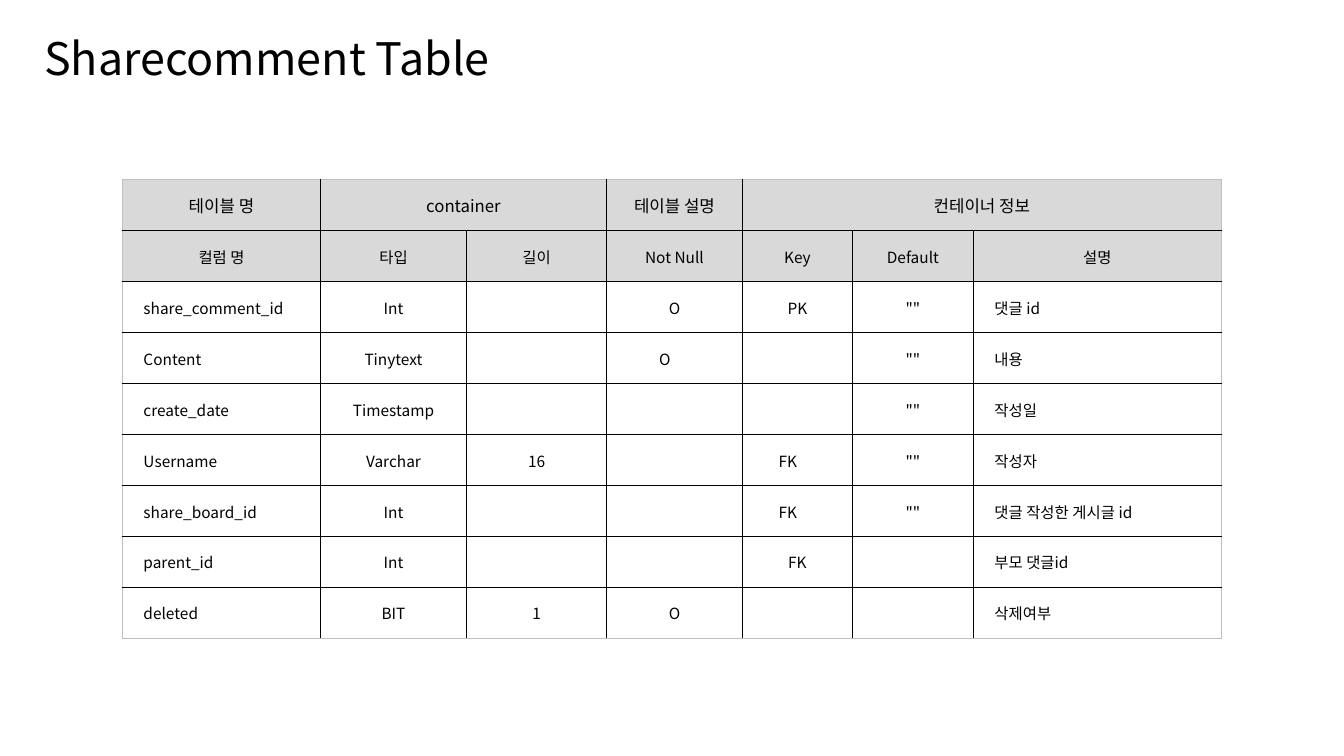
from lxml.etree import SubElement
from pptx import Presentation
from pptx.dml.color import RGBColor
from pptx.enum.text import MSO_ANCHOR, PP_ALIGN
from pptx.oxml.ns import qn
from pptx.util import Pt

HEADINGS = ["테이블 명", "container", "", "테이블 설명", "컨테이너 정보", "", ""]
COLUMN_NAMES = ["컬럼 명", "타입", "길이", "Not Null", "Key", "Default", "설명"]
FIELDS = [
    ["share_comment_id", "Int", "", "O", "PK", '""', "댓글 id"],
    ["Content", "Tinytext", "", "O", "", '""', "내용"],
    ["create_date", "Timestamp", "", "", "", '""', "작성일"],
    ["Username", "Varchar", "16", "", "FK", '""', "작성자"],
    ["share_board_id", "Int", "", "", "FK", '""', "댓글 작성한 게시글 id"],
    ["parent_id", "Int", "", "", "FK", "", "부모 댓글id"],
    ["deleted", "BIT", "1", "O", "", "", "삭제여부"],
]
COLUMN_WIDTHS = [141.5, 104.3, 100, 97.1, 78.6, 86.4, 177.1]
ROW_HEIGHT = 36.4
HEADING_SPANS = [(1, 2), (4, 6)]
LEFT_COLUMNS = {0, 6}
NUDGED_LEFT = {(3, 3), (5, 4), (6, 4)}


def color(value):
    return RGBColor.from_string(value)


class SlideBuilder:
    font = "Noto Sans CJK KR"
    ink = "000000"
    outer_edge = "BFBFBF"
    header_fill = "D9D9D9"

    def __init__(self, deck):
        self.page = deck.slides.add_slide(deck.slide_layouts[6])

    def add_text(self, para, text, size):
        span = para.add_run()
        span.text = text
        for name, value in {"size": Pt(size), "name": self.font}.items():
            setattr(span.font, name, value)
        span.font.color.rgb = color(self.ink)
        SubElement(span.font._element, qn("a:ea"), typeface=self.font)

    def title(self, text, left, top, width, height):
        box = self.page.shapes.add_textbox(Pt(left), Pt(top), Pt(width), Pt(height))
        frame = box.text_frame
        for name, value in {"word_wrap": True, "vertical_anchor": MSO_ANCHOR.MIDDLE}.items():
            setattr(frame, name, value)
        para = frame.paragraphs[0]
        para.line_spacing = 0.9
        self.add_text(para, text, 32)

    def borders(self, cell, outer_sides):
        properties = cell._tc.get_or_add_tcPr()
        for side in "LRTB":
            line = SubElement(properties, qn(f"a:ln{side}"), w=str(Pt(1)))
            fill = SubElement(line, qn("a:solidFill"))
            edge = self.outer_edge if side in outer_sides else self.ink
            SubElement(fill, qn("a:srgbClr"), val=edge)

    def table(self, rows, left, top):
        frame = self.page.shapes.add_table(
            len(rows), len(COLUMN_WIDTHS), Pt(left), Pt(top),
            Pt(sum(COLUMN_WIDTHS)), Pt(ROW_HEIGHT * len(rows)))
        table = frame.table
        table.first_row = table.horz_banding = False
        for column, width in zip(table.columns, COLUMN_WIDTHS):
            column.width = Pt(width)
        for row in table.rows:
            row.height = Pt(ROW_HEIGHT)
        for first, last in HEADING_SPANS:
            table.cell(0, first).merge(table.cell(0, last))
        for r, texts in enumerate(rows):
            for c, text in enumerate(texts):
                cell = table.cell(r, c)
                if not cell.is_spanned:
                    self.cell(cell, text, r, c, len(rows))

    def cell(self, cell, text, r, c, row_count):
        last_column = c + cell.span_width == len(COLUMN_WIDTHS)
        edges = {"L": c == 0, "R": last_column, "T": r == 0, "B": r == row_count - 1}
        self.borders(cell, {side for side, outer in edges.items() if outer})
        if r < 2:
            cell.fill.solid()
            cell.fill.fore_color.rgb = color(self.header_fill)
        else:
            cell.fill.background()

        indented = r >= 2 and c in LEFT_COLUMNS
        style = {"vertical_anchor": MSO_ANCHOR.MIDDLE}
        if r > 0:
            style |= {
                "margin_left": Pt(15 if indented else 0.7),
                "margin_right": Pt(14.3 if (r, c) in NUDGED_LEFT else 0.7),
                "margin_top": Pt(0.7),
                "margin_bottom": Pt(0),
            }
        for name, value in style.items():
            setattr(cell, name, value)
        para = cell.text_frame.paragraphs[0]
        para.alignment = PP_ALIGN.LEFT if indented else PP_ALIGN.CENTER
        if text:
            self.add_text(para, text, 12 if r == 0 else 11)


def main():
    deck = Presentation()
    deck.slide_width, deck.slide_height = Pt(960), Pt(540)
    builder = SlideBuilder(deck)
    builder.title("Sharecomment Table", 24.5, 20.9, 828, 45.4)
    builder.table([HEADINGS, COLUMN_NAMES, *FIELDS], 87.5, 128.2)
    deck.save("out.pptx")


if __name__ == "__main__":
    main()
